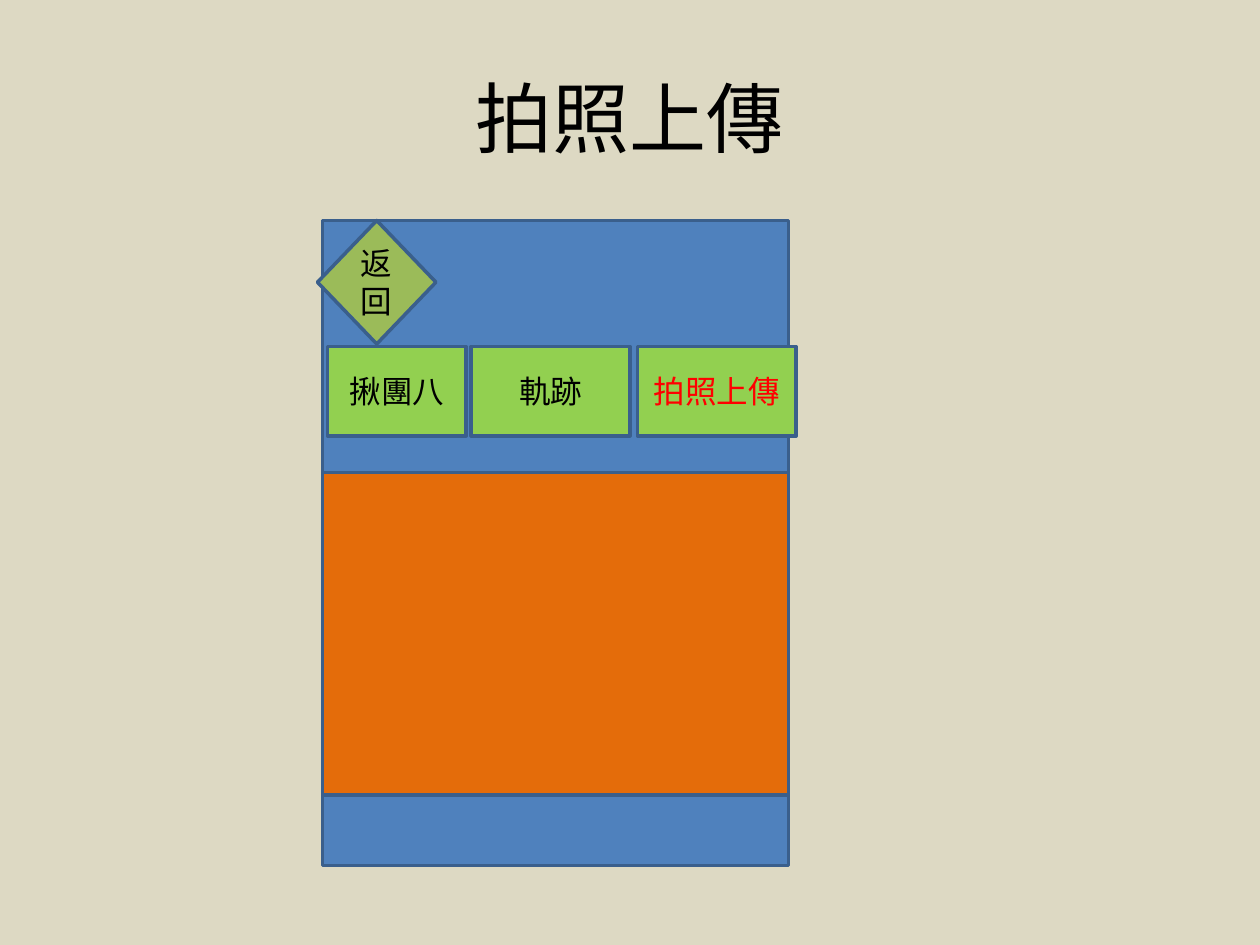
"""Build the photo upload screen mock-up slide."""
from pptx import Presentation
from pptx.dml.color import RGBColor
from pptx.enum.shapes import MSO_SHAPE as Shape
from pptx.enum.text import MSO_ANCHOR as Anchor, PP_ALIGN as Align
from pptx.util import Inches, Pt

SAND = RGBColor(0xDD, 0xD9, 0xC3)
BLUE = RGBColor(0x4F, 0x81, 0xBD)
OUTLINE = RGBColor(0x3A, 0x5F, 0x8C)
OLIVE = RGBColor(0x9B, 0xBB, 0x59)
GREEN = RGBColor(0x92, 0xD0, 0x50)
ORANGE = RGBColor(0xE4, 0x6C, 0x0A)
BLACK = RGBColor(0, 0, 0)
RED = RGBColor(0xFF, 0, 0)


def write(holder, text, size, color):
    frame = holder.text_frame
    frame.word_wrap = True
    frame.vertical_anchor = Anchor.MIDDLE
    frame.text = text
    paragraph = frame.paragraphs[0]
    paragraph.alignment = Align.CENTER
    font = paragraph.runs[0].font
    font.name = "Calibri"
    font.size = Pt(size)
    font.color.rgb = color


def add_block(kind, left, top, width, height, fill):
    block = slide.shapes.add_shape(
        kind, Inches(left), Inches(top), Inches(width), Inches(height))
    block.shadow.inherit = False
    block.fill.solid()
    block.fill.fore_color.rgb = fill
    block.line.color.rgb = OUTLINE
    block.line.width = Pt(2)
    return block


prs = Presentation()
prs.slide_width = Inches(10)
prs.slide_height = Inches(7.5)
slide = prs.slides.add_slide(prs.slide_layouts[6])
slide.background.fill.solid()
slide.background.fill.fore_color.rgb = SAND

title = slide.shapes.add_textbox(Inches(0.5), Inches(0.3), Inches(9), Inches(1.25))
write(title, "拍照上傳", 44, BLACK)

add_block(Shape.RECTANGLE, 2.56, 1.75, 3.7, 5.12, BLUE)

back_button = add_block(Shape.DIAMOND, 2.52, 1.75, 0.94, 0.98, OLIVE)
write(back_button, "返回", 18, BLACK)

tabs = [
    ("揪團八", 2.6, 1.1, BLACK),
    ("軌跡", 3.74, 1.26, BLACK),
    ("拍照上傳", 5.06, 1.26, RED),
]
for label, left, width, color in tabs:
    tab = add_block(Shape.RECTANGLE, left, 2.75, width, 0.71, GREEN)
    write(tab, label, 18, color)

add_block(Shape.RECTANGLE, 2.56, 3.75, 3.7, 2.56, ORANGE)

prs.save("out.pptx")
